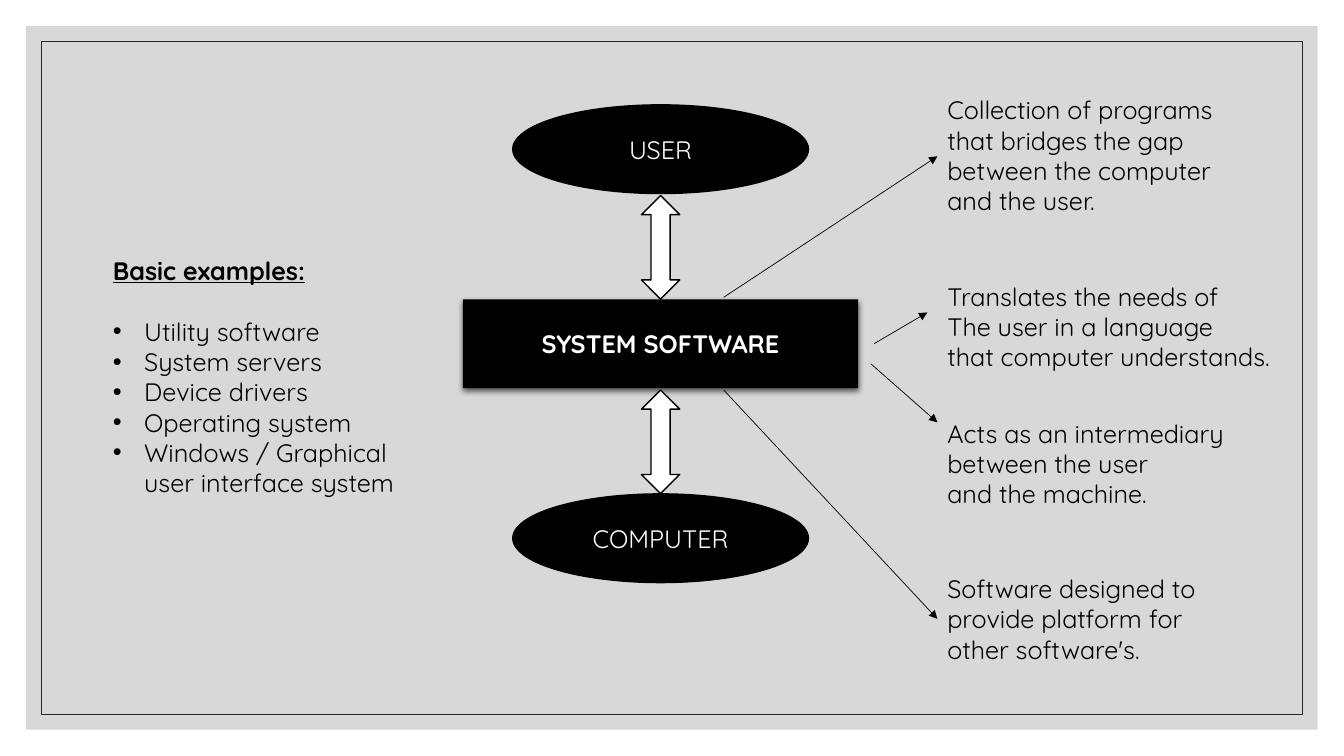
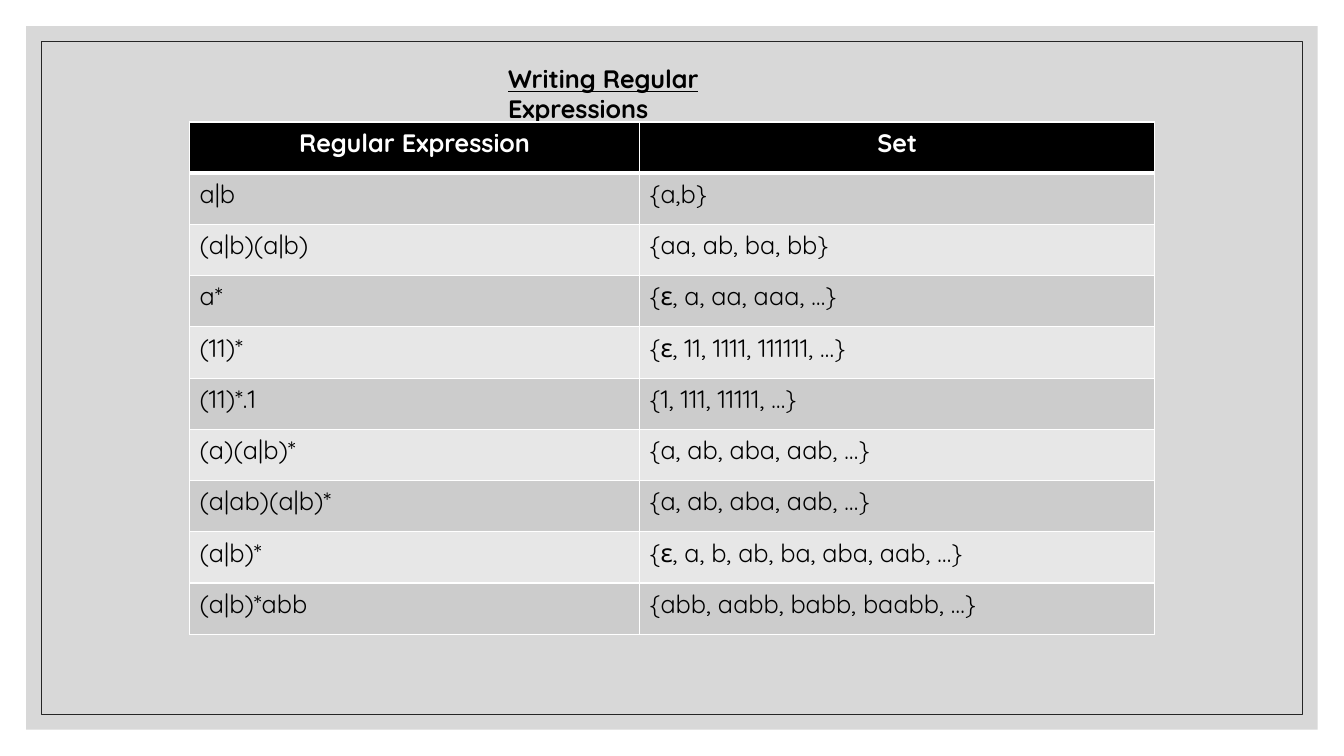
from dataclasses import dataclass
from itertools import pairwise

from lxml.etree import SubElement
from pptx import Presentation
from pptx.dml.color import RGBColor
from pptx.enum.shapes import MSO_CONNECTOR, MSO_SHAPE
from pptx.enum.text import MSO_ANCHOR, MSO_AUTO_SIZE, PP_ALIGN
from pptx.oxml import parse_xml
from pptx.oxml.ns import nsdecls, qn
from pptx.shapes.autoshape import Shape
from pptx.slide import Slide
from pptx.text.text import TextFrame
from pptx.util import Inches, Length, Pt

W, H = Inches(13.33), Inches(7.5)


@dataclass(frozen=True)
class Theme:
    """Colours, font and type sizes of the deck."""
    ink: str = "000000"
    paper: str = "FFFFFF"
    panel: str = "BFBFBF"
    frame: str = "262626"
    bands: tuple[str, str] = ("CCCCCC", "E7E7E7")
    font: str = "Quicksand"
    size: int = 18
    hairline: float = 0.5
    outline: float = 1
    rule: float = 3


@dataclass(frozen=True)
class Box:
    """A rectangle in hundredths of the slide's width and height."""
    x: float
    y: float
    w: float
    h: float

    def place(self) -> tuple[Length, Length, Length, Length]:
        """Return left, top, width and height."""
        return col(self.x), row(self.y), col(self.w), row(self.h)


@dataclass(frozen=True)
class Node:
    """A stage of the vertical stack."""
    text: str
    kind: MSO_SHAPE
    w: float
    raised: bool = False


@dataclass(frozen=True)
class Note:
    """A remark beside the stack with the arrow that leads to it."""
    y: float
    lines: tuple[str, ...]
    start: tuple[float, float]
    end: tuple[float, float]


T = Theme()
AXIS, STACK_TOP, NODE_H, GAP = 49.15, 13.87, 11.73, 14
ARROW_W, ARROW_H = 2.85, 13.7
NOTE_X, NOTE_W, LINE_H, PAD = 69.75, 27, 4.03, 1.33

NODES = (
    Node("USER", MSO_SHAPE.OVAL, 22),
    Node("SYSTEM SOFTWARE", MSO_SHAPE.RECTANGLE, 29.4, raised=True),
    Node("COMPUTER", MSO_SHAPE.OVAL, 22),
)
NOTES = (
    Note(11.87, ("Collection of programs", "that bridges the gap",
                 "between the computer", "and the user."),
         (53.85, 39.33), (69.75, 20.67)),
    Note(36.53, ("Translates the needs of", "The user in a language",
                 "that computer understands."),
         (65.03, 45.47), (69, 41.33)),
    Note(54.67, ("Acts as an intermediary", "between the user",
                 "and the machine."),
         (64.8, 48.13), (69.75, 55.87)),
    Note(75.2, ("Software designed to", "provide platform for",
                "other software's."),
         (53.85, 51.6), (69.75, 81.87)),
)
EXAMPLES = ("Utility software", "System servers", "Device drivers",
            "Operating system", "Windows / Graphical user interface system")
EXPRESSIONS = (
    ("Regular Expression", "Set"),
    ("a|b", "{a,b}"),
    ("(a|b)(a|b)", "{aa, ab, ba, bb}"),
    ("a*", "{ε, a, aa, aaa, …}"),
    ("(11)*", "{ε, 11, 1111, 111111, …}"),
    ("(11)*.1", "{1, 111, 11111, …}"),
    ("(a)(a|b)*", "{a, ab, aba, aab, …}"),
    ("(a|ab)(a|b)*", "{a, ab, aba, aab, …}"),
    ("(a|b)*", "{ε, a, b, ab, ba, aba, aab, …}"),
    ("(a|b)*abb", "{abb, aabb, babb, baabb, …}"),
)


def col(n: float) -> Length:
    """Convert hundredths of the slide's width to a length."""
    return Length(round(W * n / 100))


def row(n: float) -> Length:
    """Convert hundredths of the slide's height to a length."""
    return Length(round(H * n / 100))


def rgb(value: str) -> RGBColor:
    """Convert a hex string to a colour."""
    return RGBColor.from_string(value)


def write(tf: TextFrame, text: str, color: str = T.ink, bold: bool = False,
          underline: bool = False, align: PP_ALIGN = PP_ALIGN.LEFT) -> None:
    """Fill a text frame, one paragraph a line, in the deck's type."""
    tf.text = text
    for p in tf.paragraphs:
        p.alignment = align
        p.space_before = Pt(0)
        for r in p.runs:
            f = r.font
            f.name, f.size = T.font, Pt(T.size)
            f.bold, f.underline = bold, underline
            f.color.rgb = rgb(color)


def add_box(s: Slide, kind: MSO_SHAPE, box: Box, fill: str | None = None,
            line: str | None = None, width: float = T.outline) -> Shape:
    """Draw a preset shape without a shadow."""
    sp = s.shapes.add_shape(kind, *box.place())
    sp.shadow.inherit = False
    if fill:
        sp.fill.solid()
        sp.fill.fore_color.rgb = rgb(fill)
    else:
        sp.fill.background()
    if line:
        sp.line.color.rgb = rgb(line)
        sp.line.width = Pt(width)
    else:
        sp.line.fill.background()
    return sp


def add_frame(prs: Presentation, s: Slide) -> None:
    """Draw the panel and its border, then move both to the master."""
    panel = add_box(s, MSO_SHAPE.RECTANGLE, Box(1.95, 3.47, 96.1, 93.06), T.panel)
    color = panel.element.spPr.find(f"{qn('a:solidFill')}/{qn('a:srgbClr')}")
    SubElement(color, qn("a:alpha"), val="60000")
    border = add_box(s, MSO_SHAPE.RECTANGLE, Box(3.06, 5.47, 93.88, 89.06),
                     line=T.frame, width=T.hairline)
    for i, sp in enumerate((panel, border)):
        sp.element.xpath("p:nvSpPr/p:cNvPr")[0].set("id", str(100 + i))
        prs.slide_master.shapes.element.insert(2 + i, sp.element)


def raise_shape(sp: Shape) -> None:
    """Give a shape a soft shadow below it."""
    effects = sp.element.spPr.find(qn("a:effectLst"))
    effects.append(parse_xml(
        f'<a:outerShdw {nsdecls("a")} blurRad="57150" dist="19050" dir="5400000" '
        f'algn="ctr" rotWithShape="0"><a:srgbClr val="{T.ink}">'
        '<a:alpha val="63000"/></a:srgbClr></a:outerShdw>'))


def add_stack(s: Slide) -> None:
    """Draw the nodes on one axis with a double arrow in each gap."""
    tops = [STACK_TOP + i * (NODE_H + GAP) for i in range(len(NODES))]
    for node, top in zip(NODES, tops):
        box = Box(AXIS - node.w / 2, top, node.w, NODE_H)
        sp = add_box(s, node.kind, box, T.ink, None if node.raised else T.ink)
        sp.text_frame.vertical_anchor = MSO_ANCHOR.MIDDLE
        write(sp.text_frame, node.text, T.paper, node.raised, align=PP_ALIGN.CENTER)
        if node.raised:
            raise_shape(sp)
    for top, below in pairwise(tops):
        y = (top + NODE_H + below - ARROW_H) / 2 + 0.12
        add_box(s, MSO_SHAPE.UP_DOWN_ARROW,
                Box(AXIS - ARROW_W / 2, y, ARROW_W, ARROW_H), T.paper, T.ink)


def add_arrow(s: Slide, start: tuple[float, float], end: tuple[float, float]) -> None:
    """Draw a thin line with an arrowhead at its end."""
    cx = s.shapes.add_connector(MSO_CONNECTOR.STRAIGHT, col(start[0]), row(start[1]),
                                col(end[0]), row(end[1]))
    cx.line.color.rgb = rgb(T.ink)
    cx.line.width = Pt(T.hairline)
    spPr = cx.element.spPr
    SubElement(spPr.find(qn("a:ln")), qn("a:tailEnd"), type="triangle")
    SubElement(spPr, qn("a:effectLst"))


def add_note(s: Slide, note: Note) -> None:
    """Write a remark and draw the arrow to it."""
    box = Box(NOTE_X, note.y, NOTE_W, LINE_H * len(note.lines) + PAD)
    tf = s.shapes.add_textbox(*box.place()).text_frame
    tf.word_wrap = True
    write(tf, "\n".join(note.lines))
    add_arrow(s, note.start, note.end)


def fit(sp: Shape, box: Box) -> TextFrame:
    """Move a placeholder and set its text at the top."""
    sp.left, sp.top, sp.width, sp.height = box.place()
    tf = sp.text_frame
    tf.word_wrap, tf.auto_size = True, MSO_AUTO_SIZE.NONE
    tf.vertical_anchor = MSO_ANCHOR.TOP
    return tf


def set_title(s: Slide, text: str, box: Box) -> None:
    """Write the slide's underlined heading."""
    write(fit(s.shapes.title, box), text, bold=True, underline=True)


def set_bullets(s: Slide, items: tuple[str, ...], box: Box) -> None:
    """Write a bulleted list in the body placeholder."""
    tf = fit(s.placeholders[1], box)
    write(tf, "\n".join(items))
    indent = Inches(0.31)
    for p in tf.paragraphs:
        pPr = p._p.get_or_add_pPr()
        pPr.set("marL", str(indent))
        pPr.set("indent", str(-indent))
        SubElement(pPr, qn("a:buFont"), typeface="Arial")
        SubElement(pPr, qn("a:buChar"), char="•")


def add_table(s: Slide, rows: tuple[tuple[str, str], ...], x: float, y: float,
              widths: tuple[float, ...], height: float) -> None:
    """Draw a banded table with a dark header and white rules."""
    box = Box(x, y, sum(widths), height * len(rows))
    table = s.shapes.add_table(len(rows), len(widths), *box.place()).table
    for column, width in zip(table.columns, widths):
        column.width = col(width)
    for i, values in enumerate(rows):
        table.rows[i].height = row(height)
        head = i == 0
        for j, value in enumerate(values):
            cell = table.cell(i, j)
            write(cell.text_frame, value, T.paper if head else T.ink, head,
                  align=PP_ALIGN.CENTER if head else PP_ALIGN.LEFT)
            cell.fill.solid()
            cell.fill.fore_color.rgb = rgb(T.ink if head else T.bands[(i - 1) % 2])
            sides = {"L": T.outline, "R": T.outline,
                     "T": T.rule if i == 1 else T.outline,
                     "B": T.rule if head else T.outline}
            for k, (side, width) in enumerate(sides.items()):
                cell._tc.get_or_add_tcPr().insert(k, parse_xml(
                    f'<a:ln{side} {nsdecls("a")} w="{Pt(width)}"><a:solidFill>'
                    f'<a:srgbClr val="{T.paper}"/></a:solidFill></a:ln{side}>'))


def main() -> None:
    """Build and save the deck."""
    prs = Presentation()
    prs.slide_width, prs.slide_height = W, H

    s = prs.slides.add_slide(prs.slide_layouts[1])
    add_frame(prs, s)
    set_title(s, "Basic examples:", Box(7.65, 33.07, 23.33, 5.33))
    set_bullets(s, EXAMPLES, Box(7.65, 41.15, 23.33, 25.5))
    add_stack(s)
    for note in NOTES:
        add_note(s, note)

    s = prs.slides.add_slide(prs.slide_layouts[5])
    set_title(s, "Writing Regular Expressions", Box(37.05, 7.73, 26.18, 5.33))
    add_table(s, EXPRESSIONS, 14.1, 16.13, (33.5, 38.33), 6.78)

    prs.save("out.pptx")


if __name__ == "__main__":
    main()
